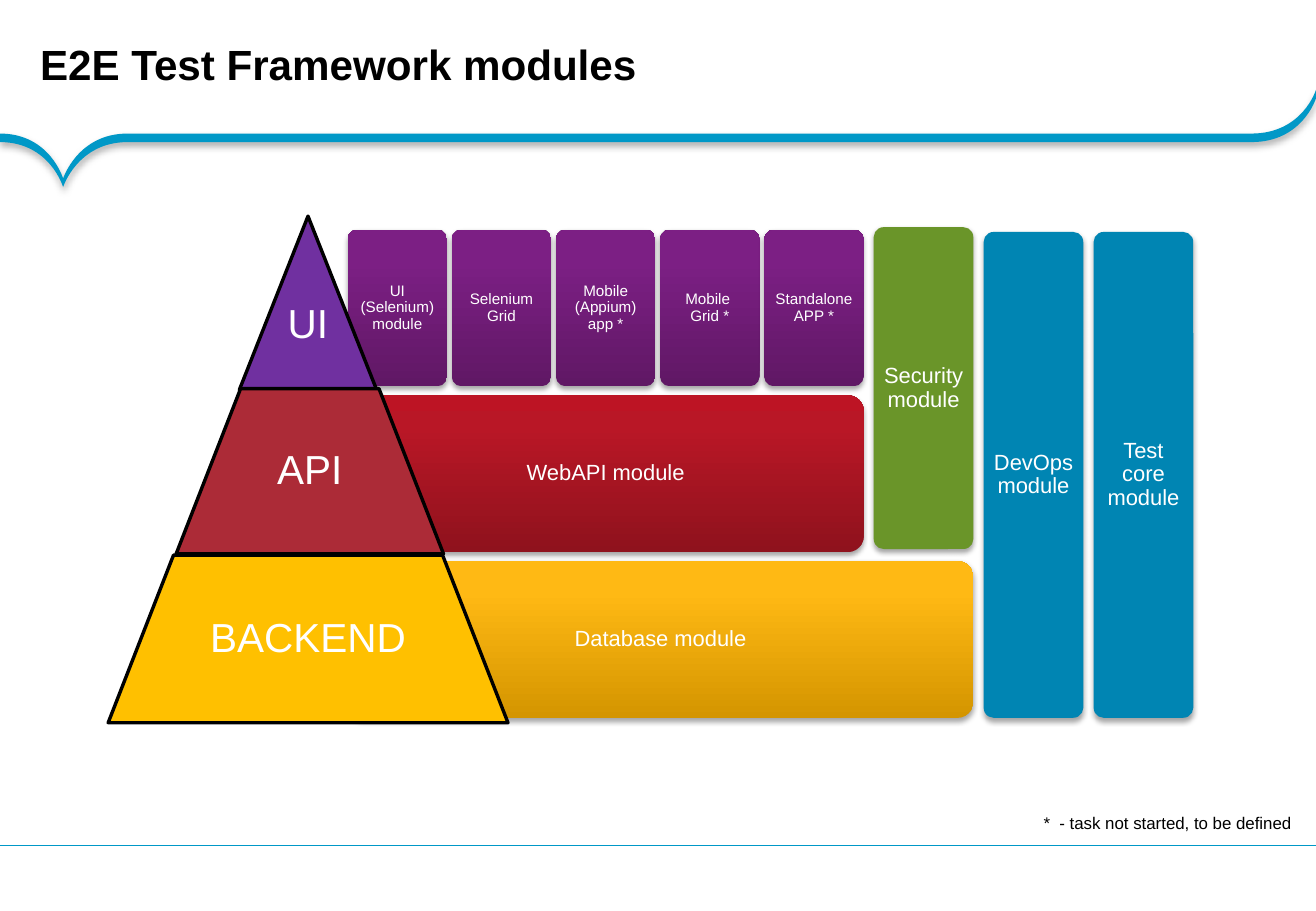
import copy

import pptx
import pptx.dml.color
import pptx.enum.shapes
import pptx.enum.text
import pptx.oxml
import pptx.oxml.ns
import pptx.util

RGBColor = pptx.dml.color.RGBColor
Inches = pptx.util.Inches
Pt = pptx.util.Pt
SHAPES = pptx.enum.shapes.MSO_SHAPE
ALIGN = pptx.enum.text.PP_ALIGN
ANCHOR = pptx.enum.text.MSO_ANCHOR

BLACK = RGBColor(0x00, 0x00, 0x00)
WHITE = RGBColor(0xFF, 0xFF, 0xFF)
RIBBON_BLUE = RGBColor(0x00, 0x98, 0xC7)
MODULE_BLUE = RGBColor(0x00, 0x85, 0xB3)
SECURITY_GREEN = RGBColor(0x6A, 0x95, 0x29)
UI_PURPLE = RGBColor(0x70, 0x30, 0xA0)
API_RED = RGBColor(0xAC, 0x2B, 0x37)
BACKEND_YELLOW = RGBColor(0xFF, 0xC0, 0x00)
PURPLE_FADE = (RGBColor(0x60, 0x18, 0x65), RGBColor(0x7C, 0x1F, 0x84), RGBColor(0x7E, 0x1D, 0x86))
RED_FADE = (RGBColor(0x8F, 0x12, 0x1D), RGBColor(0xB9, 0x17, 0x26), RGBColor(0xBD, 0x14, 0x24))
GOLD_FADE = (RGBColor(0xD4, 0x95, 0x00), RGBColor(0xFF, 0xB9, 0x14), RGBColor(0xFF, 0xBA, 0x15))
FADE_POSITIONS = (0, 0.8, 1)

SLIDE_W, SLIDE_H = 10.83, 7.5
GRID_LEFT, GRID_TOP = 2.86, 1.89
TILE_W, TILE_H = 0.82, 1.29
COLUMN_STEP, ROW_STEP = 0.857, 1.365
SIDE_LEFT, SIDE_STEP = 7.19, 0.905
GRID_BOTTOM = GRID_TOP + 2 * ROW_STEP + TILE_H


def cast_shadow(shape, alpha, blur, distance):
    shape.shadow.inherit = False
    effects = shape._element.spPr.find(pptx.oxml.ns.qn("a:effectLst"))
    effects.append(pptx.oxml.parse_xml(
        f'<a:outerShdw {pptx.oxml.ns.nsdecls("a")} blurRad="{Pt(blur)}" dist="{Pt(distance)}" '
        f'dir="5400000" algn="ctr" rotWithShape="0"><a:srgbClr val="{BLACK}">'
        f'<a:alpha val="{alpha * 1000}"/></a:srgbClr></a:outerShdw>'))


def paint(shape, colours):
    if isinstance(colours, RGBColor):
        shape.fill.solid()
        shape.fill.fore_color.rgb = colours
        return
    shape.fill.gradient()
    shape.fill.gradient_angle = 90
    stop_list = shape._element.spPr.find(".//" + pptx.oxml.ns.qn("a:gsLst"))
    stop_list.append(copy.deepcopy(stop_list[-1]))
    for stop, position, colour in zip(shape.fill.gradient_stops, FADE_POSITIONS, colours):
        stop.position = position
        stop.color.rgb = colour


def write(shape, text, size, colour, insets, align=ALIGN.CENTER, bold=False, wrap=True):
    frame = shape.text_frame
    frame.word_wrap = wrap
    frame.vertical_anchor = ANCHOR.MIDDLE
    frame.margin_left, frame.margin_top, frame.margin_right, frame.margin_bottom = map(Inches, insets)
    frame.text = text
    paragraph = frame.paragraphs[0]
    paragraph.alignment = align
    paragraph.line_spacing = 0.9
    paragraph.font.name = "Arial"
    paragraph.font.size = Pt(size)
    paragraph.font.bold = bold
    paragraph.font.color.rgb = colour


def add_label(slide, box, text, size, insets, bold=False, wrap=True):
    label = slide.shapes.add_textbox(*map(Inches, box))
    write(label, text, size, BLACK, insets, ALIGN.LEFT, bold, wrap)


def add_module(slide, text, left, top, right, bottom, colours, size=13, inset=0.05):
    module = slide.shapes.add_shape(
        SHAPES.ROUNDED_RECTANGLE, *map(Inches, (left, top, right - left, bottom - top)))
    module.adjustments[0] = 0.1
    paint(module, colours)
    module.line.fill.background()
    cast_shadow(module, 35, 3.1, 1.8)
    write(module, text, size, WHITE, (inset,) * 4)


def add_level(slide, text, box, slant, colour, drop=0):
    left, top, width, height = box
    level = slide.shapes.add_shape(SHAPES.TRAPEZOID, *map(Inches, box))
    level.adjustments[0] = slant
    paint(level, colour)
    level.line.color.rgb = BLACK
    level.line.width = Pt(2)
    level.shadow.inherit = False
    text_top = height / 3 * slant * 2 * min(width, height) / width
    write(level, text, 24, WHITE, (0.03, 0.03, 0.03, 0.03 + text_top - drop), wrap=False)


def bend_segments(shape):
    segments = shape._element.spPr.findall(".//" + pptx.oxml.ns.qn("a:lnTo"))
    for first, second, third in zip(*[iter(segments)] * 3):
        bend = pptx.oxml.parse_xml(f'<a:cubicBezTo {pptx.oxml.ns.nsdecls("a")}/>')
        first.addprevious(bend)
        for segment in (first, second, third):
            bend.append(segment[0])
            segment.getparent().remove(segment)


def add_ribbon(slide):
    level, thickness = 1.1, 0.07
    tip, corner = (0.52, 1.47), (SLIDE_W, 0.74)
    bar_start, bar_end = (1.05, level), (10.3, level)
    upper = [
        (0, level),
        (0.41, level), tip, tip,
        tip, (0.64, level), bar_start,
        bar_start, bar_end, bar_end,
        (10.72, level), corner, corner,
    ]
    lower = [(x, y + thickness) for x, y in reversed(upper)]
    outline = [(Inches(x), Inches(y)) for x, y in [*upper, corner, lower[0], *lower]]
    builder = slide.shapes.build_freeform(*outline[0], scale=1.0)
    builder.add_line_segments(outline[1:], close=True)
    ribbon = builder.convert_to_shape()
    bend_segments(ribbon)
    paint(ribbon, RIBBON_BLUE)
    ribbon.line.fill.background()
    cast_shadow(ribbon, 31, 4, 2)


def add_footer_rule(slide):
    height = Inches(6.96)
    rule = slide.shapes.add_connector(
        pptx.enum.shapes.MSO_CONNECTOR.STRAIGHT, Inches(SLIDE_W), height, 0, height)
    rule.line.color.rgb = RIBBON_BLUE
    rule.line.width = Pt(0.75)
    rule._element.spPr.append(
        pptx.oxml.parse_xml(f'<a:effectLst {pptx.oxml.ns.nsdecls("a")}/>'))


def add_modules(slide):
    ui_right = GRID_LEFT + 4 * COLUMN_STEP + TILE_W
    api_top = GRID_TOP + ROW_STEP
    backend_top = api_top + ROW_STEP
    security_right = SIDE_LEFT + TILE_W
    add_module(slide, "Database module", GRID_LEFT, backend_top, security_right, GRID_BOTTOM, GOLD_FADE)
    add_module(slide, "Security module", SIDE_LEFT, 1.87, security_right, 4.52, SECURITY_GREEN)
    add_module(slide, "WebAPI module", GRID_LEFT, api_top, ui_right, api_top + TILE_H, RED_FADE)
    ui_modules = ("UI (Selenium) module", "Selenium Grid", "Mobile (Appium) app *",
                  "Mobile \vGrid *", "Standalone APP *")
    for column, text in enumerate(ui_modules):
        left = GRID_LEFT + column * COLUMN_STEP
        add_module(slide, text, left, GRID_TOP, left + TILE_W, GRID_TOP + TILE_H, PURPLE_FADE, 9, 0.04)
    for column, text in enumerate(("DevOps module", "Test core module"), start=1):
        left = SIDE_LEFT + column * SIDE_STEP
        add_module(slide, text, left, 1.91, left + TILE_W, GRID_BOTTOM, MODULE_BLUE)


def main():
    presentation = pptx.Presentation()
    presentation.slide_width = Inches(SLIDE_W)
    presentation.slide_height = Inches(SLIDE_H)
    slide = presentation.slides.add_slide(presentation.slide_layouts[6])

    add_ribbon(slide)
    add_footer_rule(slide)
    add_label(slide, (0, 0, SLIDE_W, 1.1), "E2E Test Framework modules", 25,
              (0.33, 0.04, 0.18, 0.04), bold=True)
    add_modules(slide)
    add_level(slide, "UI", (1.97, 1.78, 1.13, 1.43), 0.5, UI_PURPLE, drop=0.36)
    add_level(slide, "API", (1.45, 3.2, 2.2, 1.36), 0.39, API_RED)
    add_level(slide, "BACKEND", (0.89, 4.57, 3.29, 1.38), 0.39, BACKEND_YELLOW)
    add_label(slide, (8.49, 6.66, 2.3, 0.25), "*  - task not started, to be defined", 10,
              (0.1, 0.05, 0.1, 0.05), wrap=False)

    presentation.save("out.pptx")


if __name__ == "__main__":
    main()
